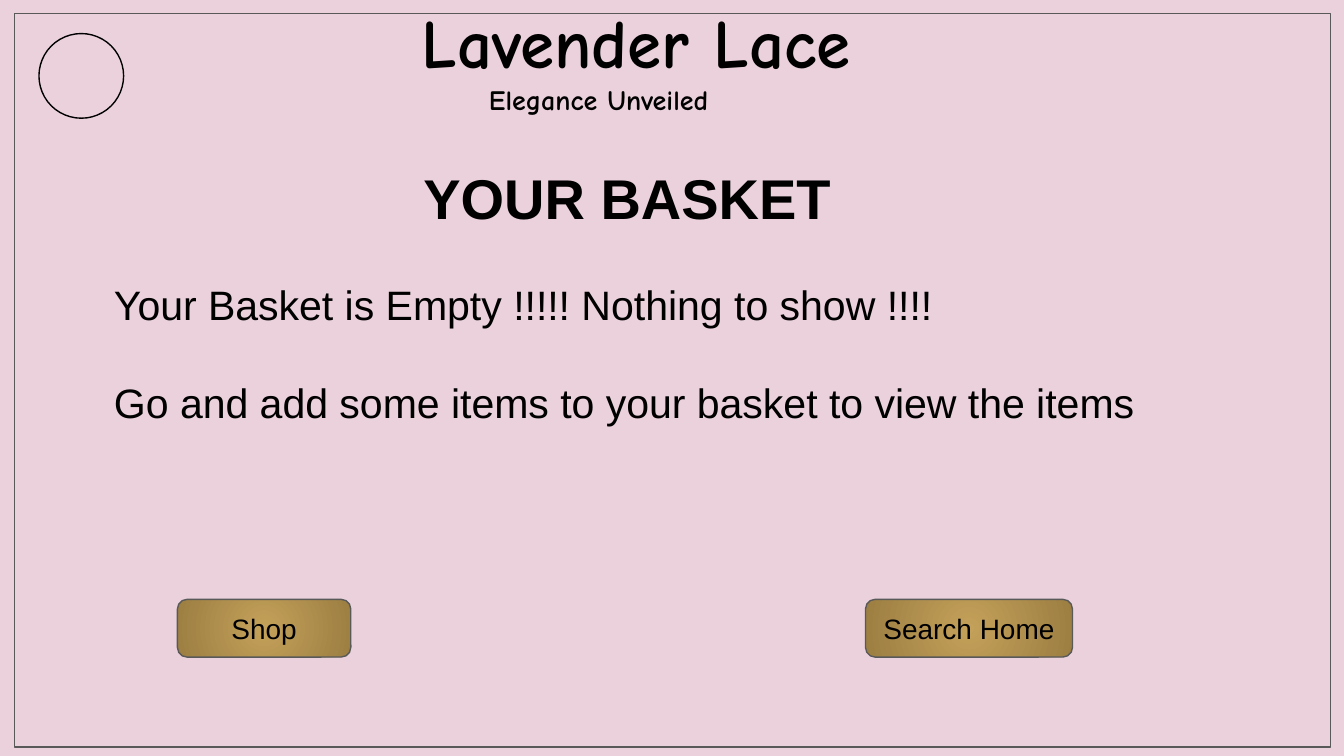
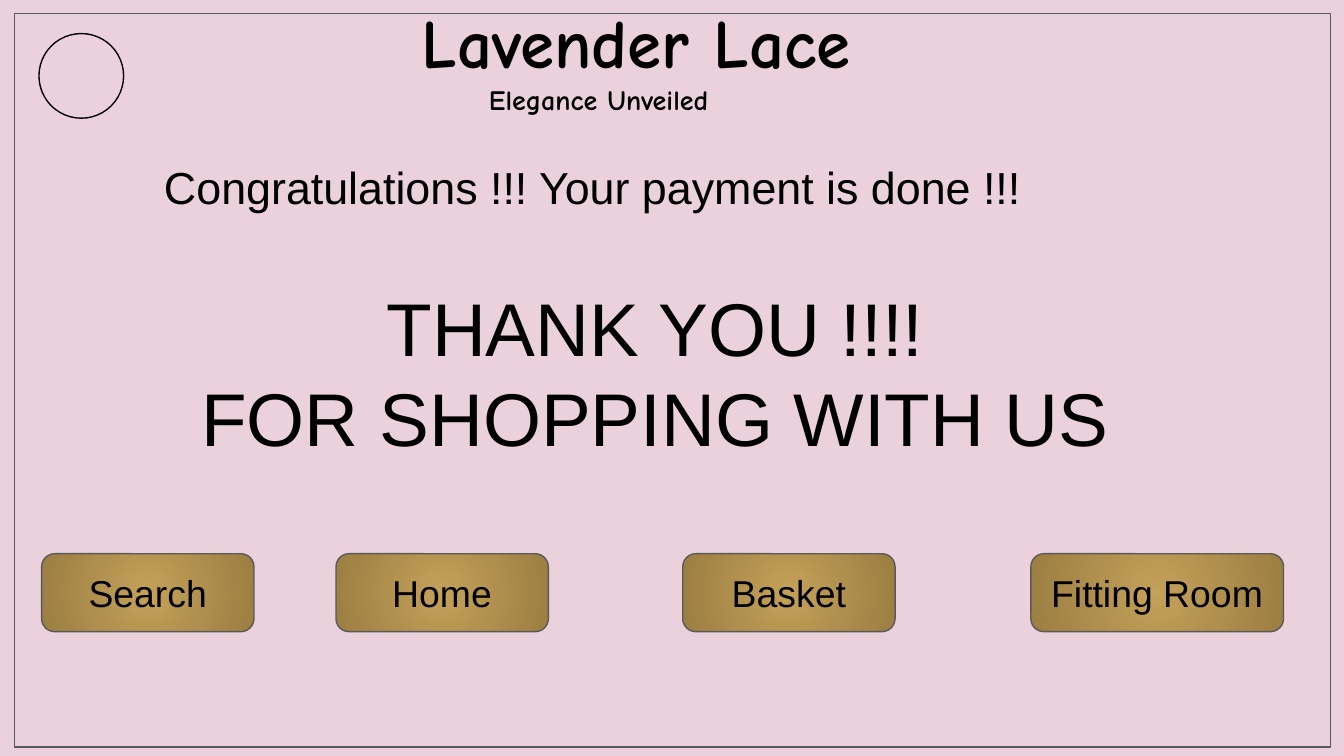
from lxml import etree
from pptx import Presentation
from pptx.dml.color import RGBColor
from pptx.enum.shapes import MSO_SHAPE
from pptx.enum.text import MSO_ANCHOR, MSO_AUTO_SIZE, PP_ALIGN
from pptx.oxml.ns import qn
from pptx.util import Inches, Pt

PINK = RGBColor(0xEA, 0xD1, 0xDC)
GOLD = RGBColor(0xC4, 0xA1, 0x5A)
BRONZE = RGBColor(0x9C, 0x7E, 0x42)
GRAY = RGBColor(0x59, 0x59, 0x59)
BLACK = RGBColor(0, 0, 0)

SANS = "Arial"
COMIC = "Comic Neue"
LEFT, CENTER = PP_ALIGN.LEFT, PP_ALIGN.CENTER
TOP, MIDDLE = MSO_ANCHOR.TOP, MSO_ANCHOR.MIDDLE
FIXED = MSO_AUTO_SIZE.NONE
RECT, ROUND, OVAL = MSO_SHAPE.RECTANGLE, MSO_SHAPE.ROUNDED_RECTANGLE, MSO_SHAPE.OVAL


def place(shape, box):
    shape.left, shape.top, shape.width, shape.height = map(Inches, box)


def write(shape, lines, size, font=SANS, bold=False, align=LEFT, anchor=TOP, gap=0):
    frame = shape.text_frame
    frame.text = "\n".join(lines)
    frame.word_wrap = True
    frame.auto_size = FIXED
    frame.vertical_anchor = anchor
    frame.margin_left = frame.margin_right = Inches(0.1)
    frame.margin_top = frame.margin_bottom = Inches(0.1)
    for index, para in enumerate(frame.paragraphs):
        para.alignment = align
        if index and gap:
            para.space_before = Pt(gap)
        for run in para.runs:
            run.font.name = font
            run.font.size = Pt(size)
            run.font.bold = bold
            run.font.color.rgb = BLACK
    return frame


def add_text(slide, box, lines, size, **style):
    shape = slide.shapes.add_textbox(*map(Inches, box))
    return write(shape, lines, size, **style)


def add_form(slide, kind, box, color):
    shape = slide.shapes.add_shape(kind, *map(Inches, box))
    shape.shadow.inherit = False
    shape.fill.background()
    shape.line.color.rgb = color
    shape.line.width = Pt(0.75)
    return shape


def glow(shape):
    shape.fill.gradient()
    for stop, color in zip(shape.fill.gradient_stops, (GOLD, BRONZE)):
        stop.color.rgb = color
    grad = shape.element.spPr.find(qn("a:gradFill"))
    ring = etree.Element(qn("a:path"), {"path": "circle"})
    sides = {side: "50000" for side in "ltrb"}
    etree.SubElement(ring, qn("a:fillToRect"), sides)
    grad.replace(grad.find(qn("a:lin")), ring)


def add_button(slide, box, label, size):
    shape = add_form(slide, ROUND, box, GRAY)
    glow(shape)
    write(shape, [label], size, align=CENTER, anchor=MIDDLE)


def add_row(slide, top, height, size, buttons):
    for label, left, width in buttons:
        add_button(slide, (left, top, width, height), label, size)


def add_page(deck, title, box, size, bold=False):
    slide = deck.slides.add_slide(deck.slide_layouts[5])
    place(slide.shapes.title, box)
    write(slide.shapes.title, [title], size, bold=bold)
    brand = add_text(slide, (3.04, -0.1, 7.97, 1.07),
                     ["Lavender Lace", "Elegance Unveiled"], 37, font=COMIC, bold=True)
    motto = brand.paragraphs[1]
    motto.runs[0].font.size = Pt(15)
    motto._p.get_or_add_pPr().set("marL", "0")
    motto._p.pPr.set("indent", str(Inches(0.5)))
    add_form(slide, RECT, (0.11, 0.1, 9.79, 5.46), GRAY)
    add_form(slide, OVAL, (0.29, 0.25, 0.63, 0.63), BLACK)
    return slide


def add_basket(deck):
    slide = add_page(deck, "YOUR BASKET", (3.05, 1.12, 3.5, 0.65), 30, bold=True)
    add_text(slide, (0.75, 1.98, 8.4, 3.1),
             ["Your Basket is Empty !!!!! Nothing to show !!!!",
              "Go and add some items to your basket to view the items"], 22, gap=26)
    add_row(slide, 4.46, 0.43, 15, [("Shop", 1.32, 1.29), ("Search Home", 6.44, 1.54)])


def add_thanks(deck):
    slide = add_page(deck, "Congratulations !!! Your payment is done !!!",
                     (1.12, 1.09, 7.75, 1.22), 24)
    add_text(slide, (1.12, 2, 7.51, 3.43),
             ["THANK YOU !!!!", "FOR SHOPPING WITH US"], 40, align=CENTER)
    add_row(slide, 4.12, 0.58, 20, [
        ("Search", 0.31, 1.58),
        ("Home", 2.5, 1.58),
        ("Basket", 5.08, 1.58),
        ("Fitting Room", 7.67, 1.88),
    ])


def main():
    deck = Presentation()
    deck.slide_width = Inches(10)
    deck.slide_height = deck.slide_width * 9 // 16
    back = deck.slide_master.background.fill
    back.solid()
    back.fore_color.rgb = PINK
    add_basket(deck)
    add_thanks(deck)
    deck.save("out.pptx")


if __name__ == "__main__":
    main()
